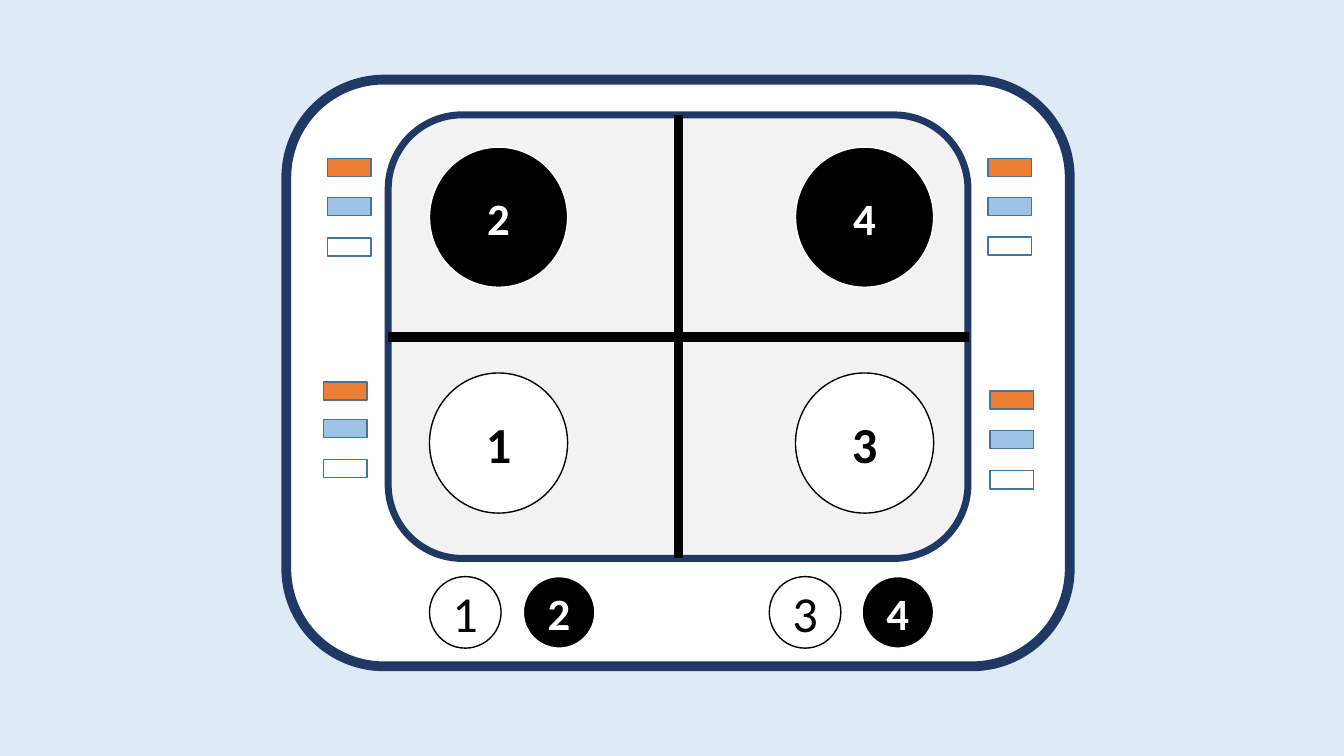
from lxml import etree
from pptx import Presentation
from pptx import util as u
from pptx.dml.color import RGBColor
from pptx.enum import shapes, text
from pptx.oxml.ns import qn

PALE_BLUE = RGBColor(0xDE, 0xEB, 0xF7)
NAVY = RGBColor(0x20, 0x38, 0x64)
GREY = RGBColor(0xF2, 0xF2, 0xF2)
WHITE = RGBColor(0xFF, 0xFF, 0xFF)
BLACK = RGBColor(0, 0, 0)
ORANGE = RGBColor(0xED, 0x7D, 0x31)
SKY = RGBColor(0x9D, 0xC3, 0xE6)
STEEL = RGBColor(0x43, 0x73, 0x9E)

deck = Presentation()
deck.slide_width = u.Inches(13.33)
deck.slide_height = u.Inches(7.5)
page = deck.slides.add_slide(deck.slide_layouts[6])
page.background.fill.solid()
page.background.fill.fore_color.rgb = PALE_BLUE


def add_box(kind, left, top, width, height, fill, line, weight=1):
    box = page.shapes.add_shape(kind, *map(u.Inches, (left, top, width, height)))
    box.shadow.inherit = False
    box.fill.solid()
    box.fill.fore_color.rgb = fill
    box.line.color.rgb = line
    box.line.width = u.Pt(weight)
    return box


def add_disc(label, left, top, width, height, dark, bold):
    fill, ink = (BLACK, WHITE) if dark else (WHITE, BLACK)
    disc = add_box(shapes.MSO_SHAPE.OVAL, left, top, width, height, fill, ink)
    disc.text_frame.vertical_anchor = text.MSO_ANCHOR.MIDDLE
    para = disc.text_frame.paragraphs[0]
    para.alignment = text.PP_ALIGN.CENTER
    span = para.add_run()
    span.text = label
    span.font.color.rgb = ink
    look = {"name": "Calibri", "size": u.Pt(32 if dark else 36), "bold": bold}
    for key, value in look.items():
        setattr(span.font, key, value)


add_box(shapes.MSO_SHAPE.ROUNDED_RECTANGLE, 2.84, 0.79, 7.77, 5.82, WHITE, NAVY, 7)
add_box(shapes.MSO_SHAPE.ROUNDED_RECTANGLE, 3.85, 1.14, 5.75, 4.4, GREY, NAVY, 5)

for label, left, top in [("2", 4.26, 1.46), ("1", 4.26, 3.7),
                         ("3", 7.89, 3.7), ("4", 7.89, 1.46)]:
    add_disc(label, left, top, 1.37, 1.39, label in "24", True)

for label, left in [("1", 4.26), ("2", 5.19), ("3", 7.63), ("4", 8.55)]:
    add_disc(label, left, 5.72, 0.71, 0.71, label in "24", label in "24")

for ends in [(6.73, 1.14, 6.73, 5.54), (3.85, 3.34, 9.61, 3.34)]:
    divider = page.shapes.add_connector(shapes.MSO_CONNECTOR.STRAIGHT, *map(u.Inches, ends))
    divider.line.color.rgb = BLACK
    divider.line.width = u.Pt(7)
    etree.SubElement(divider._element.spPr, qn("a:effectLst"))

bar_stacks = [
    (3.25, (1.57, 1.96, 2.36)),
    (9.8, (1.57, 1.96, 2.35)),
    (3.21, (3.79, 4.16, 4.56)),
    (9.82, (3.88, 4.27, 4.67)),
]
for left, tops in bar_stacks:
    for top, colour in zip(tops, (ORANGE, SKY, WHITE)):
        add_box(shapes.MSO_SHAPE.RECTANGLE, left, top, 0.43, 0.18, colour, STEEL)

deck.save("out.pptx")
